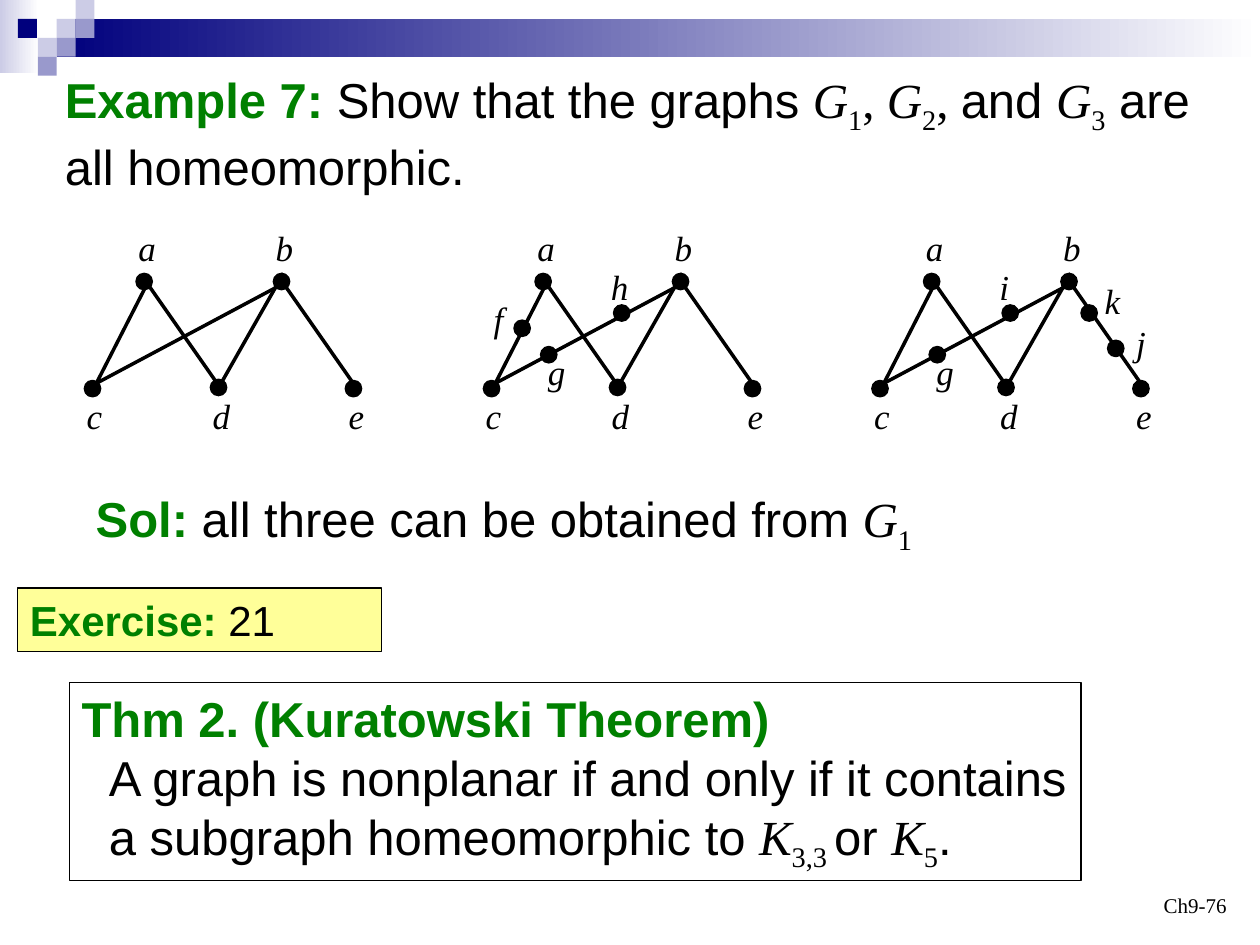
from lxml import etree
from pptx import Presentation
from pptx.dml.color import RGBColor
from pptx.enum.shapes import MSO_CONNECTOR, MSO_SHAPE
from pptx.enum.text import MSO_ANCHOR, PP_ALIGN
from pptx.oxml.ns import qn
from pptx.util import Pt

RECT, DOT = MSO_SHAPE.RECTANGLE, MSO_SHAPE.FLOWCHART_CONNECTOR
STRAIGHT = MSO_CONNECTOR.STRAIGHT
BOTTOM, TOP = MSO_ANCHOR.BOTTOM, MSO_ANCHOR.TOP
LEFT, RIGHT = PP_ALIGN.LEFT, PP_ALIGN.RIGHT

COLORS = {"black": "000000", "white": "FFFFFF", "green": "008000", "navy": "00007D",
          "lilac": "CCCCE6", "violet": "9999CC", "yellow": "FFFF99"}
SANS, SERIF = "Arial", "Times New Roman"

# Nodes and labels, relative to the top left of a graph
NODES = {"a": (40.4, 34.9), "b": (118.9, 34.9), "c": (10.9, 96.1),
         "d": (82.9, 95.4), "e": (160, 96.1)}
LABELS = {"a": (30, 0), "b": (108.5, 0), "c": (0.5, 95.8),
          "d": (72.5, 95.8), "e": (150.2, 95.8)}
EDGES = [((120, 30.2), (84, 93.6)), ((42.2, 36), (10.6, 97.9)),
         ((42.2, 36), (84, 95.8)), ((161.8, 95.8), (120, 36)),
         ((12, 93.6), (120, 36))]
# Subdividing vertices: name -> (node, label)
G2_EXTRA = {"f": ((28.4, 61.6), (5, 40.3)), "g": ((43.6, 76.7), (36, 70.6)),
            "h": ((85.3, 52.9), (72, 22.3))}
G3_EXTRA = {"g": G2_EXTRA["g"], "i": G2_EXTRA["h"],
            "k": ((130.4, 52.9), (132.2, 30.2)), "j": ((145.6, 73.1), (150.2, 54))}
DOT_SIZE = 9.4


def color(name):
    return RGBColor.from_string(COLORS[name])


def head(text):
    return text, SANS, "green", "bold"


def plain(text):
    return text, SANS, "black", ""


def serif(text):
    return text, SERIF, "black", ""


def var(text):
    return text, SERIF, "black", "italic"


def sub(text):
    return text, SERIF, "black", "sub"


def add_block(shapes, kind, left, top, width, height, fill=None, line=None):
    shape = shapes.add_shape(kind, Pt(left), Pt(top), Pt(width), Pt(height))
    shape.shadow.inherit = False
    if fill:
        shape.fill.solid()
        shape.fill.fore_color.rgb = color(fill)
    else:
        shape.fill.background()
    if line:
        shape.line.color.rgb = color(line)
        shape.line.width = Pt(0.75)
    else:
        shape.line.fill.background()
    return shape


def fade(shape, start):
    shape.fill.gradient()
    shape.fill.gradient_angle = 0
    for stop, name in zip(shape.fill.gradient_stops, (start, "white")):
        stop.color.rgb = color(name)


def write(shape, paragraphs, size, align=LEFT, anchor=TOP):
    frame = shape.text_frame
    frame.word_wrap = True
    frame.vertical_anchor = anchor
    for index, spans in enumerate(paragraphs):
        para = frame.add_paragraph() if index else frame.paragraphs[0]
        para.alignment = align
        for text, font, ink, style in spans:
            span = para.add_run()
            span.text = text
            span.font.size = Pt(size)
            span.font.name = font
            span.font.color.rgb = color(ink)
            span.font.bold = style == "bold"
            span.font.italic = style == "italic"
            if style == "sub":
                span.font._element.set("baseline", "-25000")


def add_text(shapes, left, top, width, height, paragraphs, size, **layout):
    box = shapes.add_textbox(Pt(left), Pt(top), Pt(width), Pt(height))
    write(box, paragraphs, size, **layout)


def draw_banner(page, width):
    fade(add_block(page.shapes, RECT, 0, 0, 22.3, 41.8, "lilac"), "lilac")
    fade(add_block(page.shapes, RECT, 32.4, 10.8, width - 32.4, 21.6, "navy"), "navy")
    # Checkered squares
    side = 10.8
    for column, row, fill in [(3, 1, "lilac"), (4, 0, "lilac"), (4, 1, "violet"),
                              (2, 2, "lilac"), (0.95, 1, "navy"), (3, 2, "violet"),
                              (2, 3, "violet")]:
        add_block(page.shapes, RECT, column * side, row * side, side, side, fill)


def draw_graph(page, left, top, extra):
    shapes = page.shapes.add_group_shape().shapes
    for (x1, y1), (x2, y2) in EDGES:
        edge = shapes.add_connector(STRAIGHT, Pt(left + x1), Pt(top + y1),
                                    Pt(left + x2), Pt(top + y2))
        edge.line.color.rgb = color("black")
        edge.line.width = Pt(2)
        etree.SubElement(edge._element.spPr, qn("a:effectLst"))
    vertices = {name: (NODES[name], LABELS[name]) for name in NODES} | extra
    for name, ((x, y), (label_x, label_y)) in vertices.items():
        add_block(shapes, DOT, left + x - DOT_SIZE / 2, top + y - DOT_SIZE / 2,
                  DOT_SIZE, DOT_SIZE, "black", "black")
        add_text(shapes, left + label_x, top + label_y, 24.5, 31.7, [[var(name)]], 20)


def draw_exercise(page, left, top, width, height):
    box = add_block(page.shapes, RECT, left, top, width, height, "yellow", "black")
    write(box, [[head("Exercise: "), plain("21")]], 24)


def draw_theorem(page, left, top, width, height):
    box = add_block(page.shapes, RECT, left, top, width, height, line="black")
    box.text_frame.margin_right = 0
    write(box, [[head("Thm 2. (Kuratowski Theorem)")],
                [plain("A graph is nonplanar if and only if it contains "
                       "a subgraph homeomorphic to "),
                 var("K"), sub("3,3 "), plain("or "), var("K"), sub("5"), plain(".")]], 28)
    box.text_frame.paragraphs[1]._p.get_or_add_pPr().set("marL", str(Pt(15.6)))


def main():
    deck = Presentation()
    deck.slide_width, deck.slide_height = Pt(720), Pt(540)
    page = deck.slides.add_slide(deck.slide_layouts[6])
    draw_banner(page, 720)
    # Page number
    add_text(page.shapes, 540, 491.8, 168, 36, [[serif("Ch9-76")]], 12,
             align=RIGHT, anchor=BOTTOM)
    # Question
    add_text(page.shapes, 30, 36, 660, 79.2,
             [[head("Example 7:"), plain(" Show that the graphs "),
               var("G"), sub("1"), serif(", "), var("G"), sub("2"), serif(", "),
               plain("and "), var("G"), sub("3"), plain(" are all homeomorphic.")]], 28)
    # Three graphs
    for left, extra in [(42, {}), (270, G2_EXTRA), (492, G3_EXTRA)]:
        draw_graph(page, left, 126, extra)
    # Solution
    add_text(page.shapes, 47.6, 275.8, 500, 45.4,
             [[head("Sol: "), plain("all three can be obtained from "),
               var("G"), sub("1")]], 28)
    draw_theorem(page, 39.6, 390.2, 578.2, 113)
    draw_exercise(page, 10, 336, 208.2, 36.4)
    deck.save("out.pptx")


if __name__ == "__main__":
    main()
